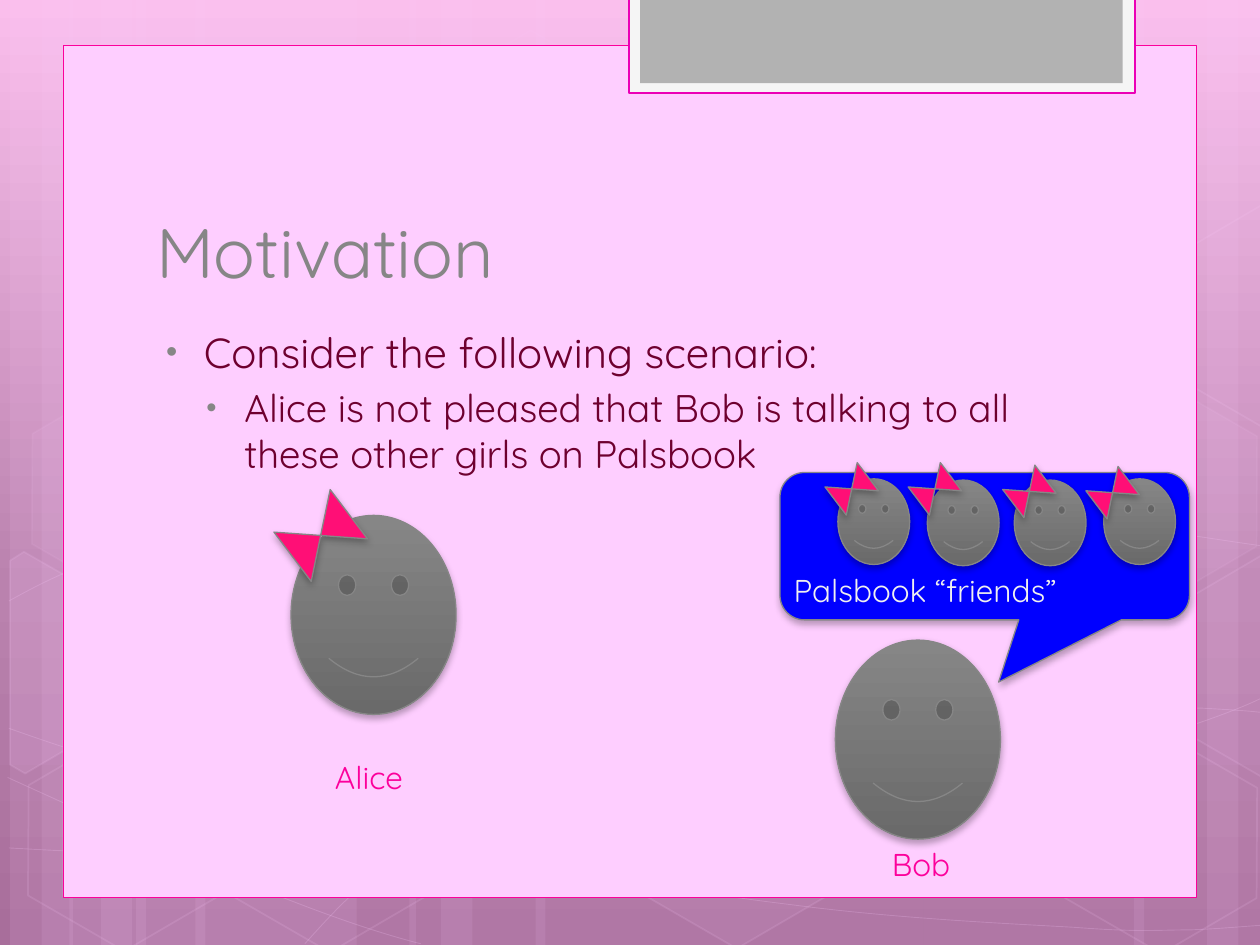
from copy import deepcopy

from lxml import etree
from pptx import Presentation
from pptx import util as u
from pptx.dml.color import RGBColor
from pptx.enum import shapes, text
from pptx.oxml.ns import qn

Inches, Pt = u.Inches, u.Pt
KIND = shapes.MSO_SHAPE

PALE, PINK, MAGENTA, BOW = "FECEFF", "FC009B", "EB00B6", "FF0F76"
GRAY, DARK_GRAY, WINE = "868686", "6A6A6A", "6E002F"


def color(value):
    return RGBColor.from_string(value)


def add_xml(parent, tag, **attributes):
    values = {name: str(value) for name, value in attributes.items()}
    return etree.SubElement(parent, qn(tag), values)


def set_alpha(fill_parent, percent):
    """Make the solid fill directly inside fill_parent partly transparent."""
    rgb = fill_parent.find(qn("a:solidFill")).find(qn("a:srgbClr"))
    add_xml(rgb, "a:alpha", val=percent * 1000)


def bend(shape):
    """Turn each three line segments of a freeform into one cubic Bezier segment."""
    outline = next(shape.element.iter(qn("a:path")))
    lines = outline.findall(qn("a:lnTo"))
    for i in range(0, len(lines), 3):
        cubic = add_xml(outline, "a:cubicBezTo")
        for line in lines[i:i + 3]:
            cubic.append(line[0])
            outline.remove(line)


class SlideBuilder:
    """Holds the style and the slide being built."""
    font = "Quicksand"

    def __init__(self, slide):
        self.slide = slide

    def background(self, stops):
        fill = self.slide.background.fill
        fill.gradient()
        fill.gradient_angle = 270
        stop_list = next(self.slide.element.iter(qn("a:gsLst")))
        stop_list.insert(1, deepcopy(stop_list[0]))
        for stop, (position, value) in zip(fill.gradient_stops, stops):
            stop.position = position
            stop.color.rgb = color(value)

    def paint(self, shape, fill=None, alpha=None, line=None, width=0.75, line_alpha=None):
        shape.shadow.inherit = False
        if fill is None:
            shape.fill.background()
        elif isinstance(fill, tuple):
            shape.fill.gradient()
            shape.fill.gradient_angle = 270
            for stop, value in zip(shape.fill.gradient_stops, fill):
                stop.color.rgb = color(value)
        else:
            shape.fill.solid()
            shape.fill.fore_color.rgb = color(fill)
            if alpha is not None:
                set_alpha(shape.element.spPr, alpha)
        if line is None:
            shape.line.fill.background()
            return
        shape.line.color.rgb = color(line)
        shape.line.width = Pt(width)
        if line_alpha is not None:
            set_alpha(shape.element.spPr.find(qn("a:ln")), line_alpha)

    def shape(self, kind, box, rotation=0, adjustments=(), shadow=False, **paint):
        shape = self.slide.shapes.add_shape(kind, *map(Inches, box))
        shape.rotation = rotation
        for i, value in enumerate(adjustments):
            shape.adjustments[i] = value
        self.paint(shape, **paint)
        if shadow:
            effects = shape.element.spPr.find(qn("a:effectLst"))
            outer = add_xml(effects, "a:outerShdw", blurRad=Pt(4), dist=Pt(2),
                            dir=5400000, rotWithShape=0)
            add_xml(add_xml(outer, "a:srgbClr", val="000000"), "a:alpha", val=28000)

    def outline(self, points, close=False, **paint):
        points = [(Inches(x), Inches(y)) for x, y in points]
        builder = self.slide.shapes.build_freeform(*points[0])
        builder.add_line_segments(points[1:], close=close)
        shape = builder.convert_to_shape()
        self.paint(shape, **paint)
        return shape

    def curve(self, points):
        bend(self.outline(points, line=PALE, width=0.5, line_alpha=20))

    def hexagon(self, left, top, alpha=None, line_alpha=12):
        self.shape(KIND.HEXAGON, (left, top, 1.75, 1.52), 30, (0.285,),
                   fill=PALE if alpha else None, alpha=alpha,
                   line=PALE, width=1, line_alpha=line_alpha)

    def face(self, left, top, width, height):
        self.shape(KIND.SMILEY_FACE, (left, top, width, height), shadow=True,
                   fill=(GRAY, DARK_GRAY), line=GRAY)

    def bow(self, left, top, width, height):
        self.shape(KIND.FLOWCHART_COLLATE, (left, top, width, height), 52.9,
                   shadow=True, fill=BOW, line=GRAY)

    def text(self, box, lines, anchor=text.MSO_ANCHOR.TOP):
        """Add a text box; each line is (wording, size, colour)."""
        frame = self.slide.shapes.add_textbox(*map(Inches, box)).text_frame
        frame.word_wrap = True
        frame.vertical_anchor = anchor
        frame.text = "\n".join(line[0] for line in lines)
        for paragraph, (_, size, value) in zip(frame.paragraphs, lines):
            font = paragraph.runs[0].font
            font.name, font.size = self.font, Pt(size)
            font.color.rgb = color(value)
        return frame

    def label(self, left, top, width, wording, value):
        frame = self.text((left, top, width, 0.4), [(wording, 18, value)])
        frame.auto_size = text.MSO_AUTO_SIZE.SHAPE_TO_FIT_TEXT

    def bullet(self, paragraph, level, margin):
        paragraph.level = level
        paragraph.space_before = Pt(0.2 * paragraph.runs[0].font.size.pt)
        properties = paragraph._p.get_or_add_pPr()
        properties.set("marL", str(Inches(margin)))
        properties.set("indent", str(Inches(-0.3)))
        add_xml(add_xml(properties, "a:buClr"), "a:srgbClr", val=GRAY)
        add_xml(properties, "a:buSzPct", val=76000)
        add_xml(properties, "a:buFont", typeface="Arial")
        add_xml(properties, "a:buChar", char="•")


BANDS = [(1.08, 1.75), (0.08, 0.5), (0.33, 0.83), (1.55, 1.75), (0.55, 0.5), (0.8, 0.83),
         (7.33, 1.75), (9.58, 0.5), (9, 0.83), (4.25, 3.08), (3.25, 0.5), (3.5, 0.83)]
CURVES = [
    [(0.07, 6.73), (0.61, 6.76), (1.15, 6.79), (1.9, 6.78), (2.65, 6.77), (3.58, 6.75),
     (4.58, 6.65), (5.58, 6.55), (7, 6.36), (7.92, 6.17), (8.83, 5.98), (9.77, 5.68),
     (10.07, 5.51)],
    [(0.07, 4.77), (0.36, 4.61), (0.65, 4.46), (1.21, 4.31), (1.78, 4.16), (2.59, 3.94),
     (3.47, 3.87), (4.36, 3.8), (5.44, 3.79), (6.54, 3.87), (7.64, 3.95), (9.47, 4.26),
     (10.07, 4.34)],
    [(0.06, 6.17), (1.27, 6.72), (2.47, 7.27), (3.34, 7.49)],
    [(0.07, 5.78), (0.38, 5.89), (0.7, 6), (1.28, 6.16), (1.86, 6.31), (2.73, 6.56),
     (3.57, 6.73), (4.4, 6.9), (5.45, 7.08), (6.28, 7.18), (7.11, 7.29), (8, 7.33),
     (8.53, 7.36), (9.05, 7.4), (9.19, 7.38), (9.45, 7.38), (9.71, 7.37), (9.89, 7.35),
     (10.07, 7.34)],
    [(2.42, 7.49), (2.6, 7.29), (2.78, 7.09), (3.02, 6.91), (3.26, 6.73), (3.6, 6.53),
     (3.88, 6.39), (4.16, 6.25), (4.33, 6.19), (4.7, 6.09), (5.06, 5.99), (5.73, 5.85),
     (6.08, 5.78), (6.44, 5.71), (6.49, 5.71), (6.8, 5.69), (7.11, 5.66), (7.6, 5.63),
     (7.94, 5.62), (8.29, 5.61), (8.86, 5.62), (8.86, 5.62), (9.08, 5.62), (9.3, 5.62),
     (9.53, 5.62), (9.71, 5.63), (9.88, 5.64), (9.97, 5.65), (10.06, 5.66), (10.03, 5.65),
     (10.06, 5.66)],
]
HEXAGONS = [(3.34, 0.36, 4, 8), (4.97, 5.89, 6), (0.11, 5.91), (0.14, 3.12, 7, 8),
            (1.74, 5.92), (7.53, 4.53, 10), (8.34, 5.93), (8.34, 3.14, 7, 8)]
CUT_HEXAGONS = [
    ([(0.08, 4.45), (0.19, 4.38), (0.96, 4.82), (0.95, 5.7), (0.2, 6.14), (0.08, 6.07)], 10),
    ([(9.26, 4.85), (10.01, 4.41), (10.09, 4.46), (10.09, 6.13), (10.02, 6.17),
      (9.26, 5.73)], 4),
    ([(9.26, 2.07), (10.01, 1.63), (10.1, 1.68), (10.09, 3.35), (10.02, 3.39),
      (9.26, 2.95)], None),
]
FRIEND_FACES = [(6.65, 3.8), (7.36, 3.81), (8.05, 3.81), (8.76, 3.8)]
FRIEND_BOWS = [(6.62, 3.72), (7.28, 3.72), (8.03, 3.74), (8.69, 3.75)]


def draw_backdrop(builder):
    builder.background([(0, "FABEEC"), (0.62, "BA82AE"), (1, "A86E9B")])
    for left, width in BANDS:
        builder.shape(KIND.RECTANGLE, (left, 0, width, 7.5), fill=PALE, alpha=10)
    for points in CURVES:
        builder.curve(points)
    for hexagon in HEXAGONS:
        builder.hexagon(*hexagon)
    for points, alpha in CUT_HEXAGONS:
        builder.outline(points, close=True, fill=PALE if alpha else None, alpha=alpha,
                        line=PALE, width=1, line_alpha=12)
    builder.shape(KIND.RECTANGLE, (0.5, 0.36, 9, 6.76), fill=PALE, line=PINK, width=0.5)
    builder.shape(KIND.RECTANGLE, (4.99, -0.02, 4.02, 0.76), fill="F5F5F5",
                  line=MAGENTA, width=1.25)
    builder.shape(KIND.RECTANGLE, (5.08, -0.02, 3.83, 0.68), fill="B2B2B2")


def draw_scenario(builder):
    builder.shape(KIND.ROUNDED_RECTANGULAR_CALLOUT, (6.19, 3.75, 3.25, 1.17),
                  adjustments=(0.034, 0.922, 0.167), shadow=True, fill="0000FF", line=GRAY)
    builder.text((1.14, 1.12, 7.68, 1.25), [("Motivation", 40, GRAY)],
                 text.MSO_ANCHOR.BOTTOM)
    body = builder.text((1.14, 2.54, 7.41, 3.84), [
        ("Consider the following scenario:", 24, WINE),
        ("Alice is not pleased that Bob is talking to all these other girls on Palsbook",
         22, WINE)])
    for level, (paragraph, margin) in enumerate(zip(body.paragraphs, (0.38, 0.7))):
        builder.bullet(paragraph, level, margin)
    for left, top in [(2.31, 4.09), (6.63, 5.08)]:
        builder.face(left, top, 1.31, 1.58)
    builder.label(2.56, 5.97, 0.92, "Alice", PINK)
    builder.label(6.98, 6.66, 0.92, "Bob", PINK)
    for left, top in FRIEND_FACES:
        builder.face(left, top, 0.57, 0.68)
    builder.label(6.2, 4.48, 3.24, "Palsbook “friends”", "F0F0F0")
    builder.bow(2.3, 3.97, 0.49, 0.56)
    for left, top in FRIEND_BOWS:
        builder.bow(left, top, 0.28, 0.32)


def main():
    presentation = Presentation()
    presentation.slide_width, presentation.slide_height = Inches(10), Inches(7.5)
    builder = SlideBuilder(presentation.slides.add_slide(presentation.slide_layouts[6]))
    draw_backdrop(builder)
    draw_scenario(builder)
    presentation.save("out.pptx")


if __name__ == "__main__":
    main()
